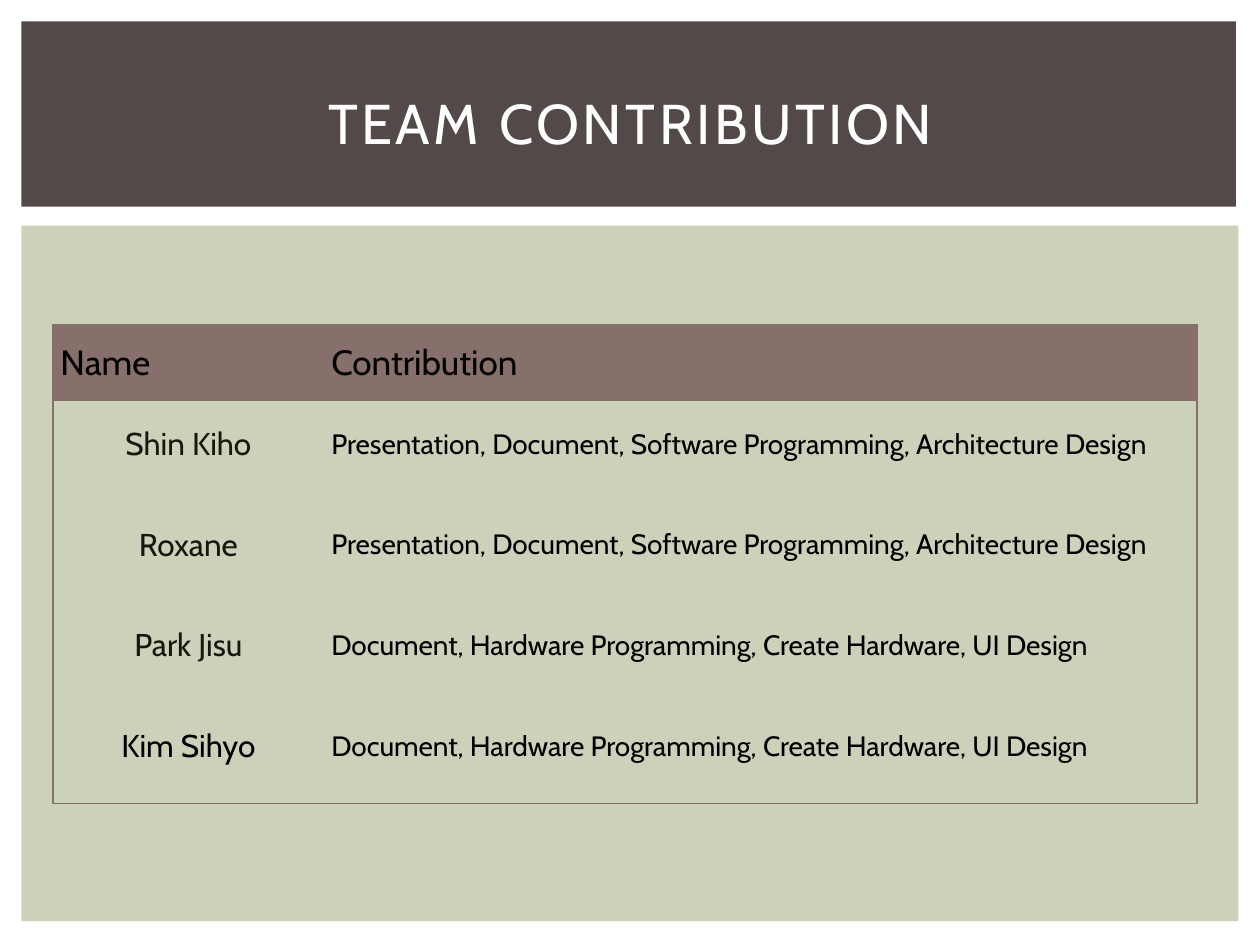
from dataclasses import dataclass

from lxml import etree
from pptx import Presentation
from pptx import util as u
from pptx.dml.color import RGBColor as Rgb
from pptx.enum import shapes, text
from pptx.oxml import ns


@dataclass(frozen=True)
class Theme:
    """Colours, type sizes and line weight of the slide."""

    font: str = "Cabin"
    dark: str = "534949"
    sage: str = "CCD1B9"
    mauve: str = "87706B"
    white: str = "FFFFFF"
    black: str = "000000"
    ink: str = "161810"
    title: int = 32
    head: int = 20
    name: int = 18
    body: int = 16
    line: float = 0.79


T = Theme()
WIDE, HIGH = 10, 7.5
BAND = (0.17, 0.17, 9.64, 1.47)
PANEL = (0.17, 1.79, 9.66, 5.52)
HEAD = ("Name", "Contribution")
SOFT = "Presentation, Document, Software Programming, Architecture Design"
HARD = "Document, Hardware Programming, Create Hardware, UI Design"
TEAM = (
    ("Shin Kiho", SOFT, T.ink),
    ("Roxane", SOFT, T.ink),
    ("Park Jisu", HARD, T.ink),
    ("Kim Sihyo", HARD, T.black),
)


def inch(*vals):
    """Turn numbers into inch lengths."""
    return [u.Inches(v) for v in vals]


def style(para, words, size, color, align):
    """Write one paragraph in the theme font."""
    para.text = words
    para.alignment = align
    font = para.font
    font.name, font.size, font.bold = T.font, u.Pt(size), False
    font.color.rgb = Rgb.from_string(color)


def block(slide, box, color):
    """Fill a box with a plain colour."""
    rect = slide.shapes.add_shape(shapes.MSO_SHAPE.RECTANGLE, *inch(*box))
    rect.shadow.inherit = False
    rect.fill.solid()
    rect.fill.fore_color.rgb = Rgb.from_string(color)
    rect.line.fill.background()


def banner(slide, box, words):
    """Place the dark band with its spaced title."""
    block(slide, box, T.dark)
    x, y, w, h = box
    area = (x + 0.25, y + 0.22, w - 0.47, h - 0.32)
    frame = slide.shapes.add_textbox(*inch(*area)).text_frame
    frame.word_wrap = True
    frame.vertical_anchor = text.MSO_ANCHOR.MIDDLE
    para = frame.paragraphs[0]
    style(para, words, T.title, T.white, text.PP_ALIGN.CENTER)
    para.runs[0]._r.get_or_add_rPr().set("spc", "200")


def edge(cell, side, shown):
    """Draw or clear one side of a cell."""
    props = cell._tc.get_or_add_tcPr()
    line = etree.SubElement(props, ns.qn(f"a:ln{side}"))
    line.set("w", str(u.Pt(T.line)))
    if shown:
        fill = etree.SubElement(line, ns.qn("a:solidFill"))
        etree.SubElement(fill, ns.qn("a:srgbClr")).set("val", T.mauve)
    else:
        etree.SubElement(line, ns.qn("a:noFill"))


def fill(cell, words, size, color, align, sides, back=None):
    """Set the text, borders and fill of a cell."""
    pad = u.Inches(0.06)
    cell.margin_left = cell.margin_right = pad
    cell.margin_top = cell.margin_bottom = pad
    cell.vertical_anchor = text.MSO_ANCHOR.MIDDLE
    style(cell.text_frame.paragraphs[0], words, size, color, align)
    for side in "LRTB":
        edge(cell, side, side in sides)
    if back:
        cell.fill.solid()
        cell.fill.fore_color.rgb = Rgb.from_string(back)
    else:
        cell.fill.background()


def roster(slide, box):
    """Place the panel and the table of members inside it."""
    block(slide, box, T.sage)
    x, y, w, h = box
    cols, rows = (2.15, 6.93), (0.6,) + (0.69, 0.91) * 2
    area = (x + 0.25, y + 0.79, sum(cols), sum(rows))
    grid = slide.shapes.add_table(len(rows), len(cols), *inch(*area)).table
    grid.first_row = grid.horz_banding = False
    for col, size in zip(grid.columns, cols):
        col.width = u.Inches(size)
    for row, size in zip(grid.rows, rows):
        row.height = u.Inches(size)
    left, mid = text.PP_ALIGN.LEFT, text.PP_ALIGN.CENTER
    for col, words in enumerate(HEAD):
        sides = "LR"[col] + "T"
        fill(grid.cell(0, col), words, T.head, T.black, left, sides, T.mauve)
    for row, (name, work, color) in enumerate(TEAM, 1):
        base = "B" if row == len(TEAM) else ""
        fill(grid.cell(row, 0), name, T.name, color, mid, "L" + base)
        fill(grid.cell(row, 1), work, T.body, T.black, left, "R" + base)


def main():
    """Build and save the slide."""
    deck = Presentation()
    deck.slide_width, deck.slide_height = inch(WIDE, HIGH)
    slide = deck.slides.add_slide(deck.slide_layouts[6])
    roster(slide, PANEL)
    banner(slide, BAND, "TEAM CONTRIBUTION")
    deck.save("out.pptx")


if __name__ == "__main__":
    main()
